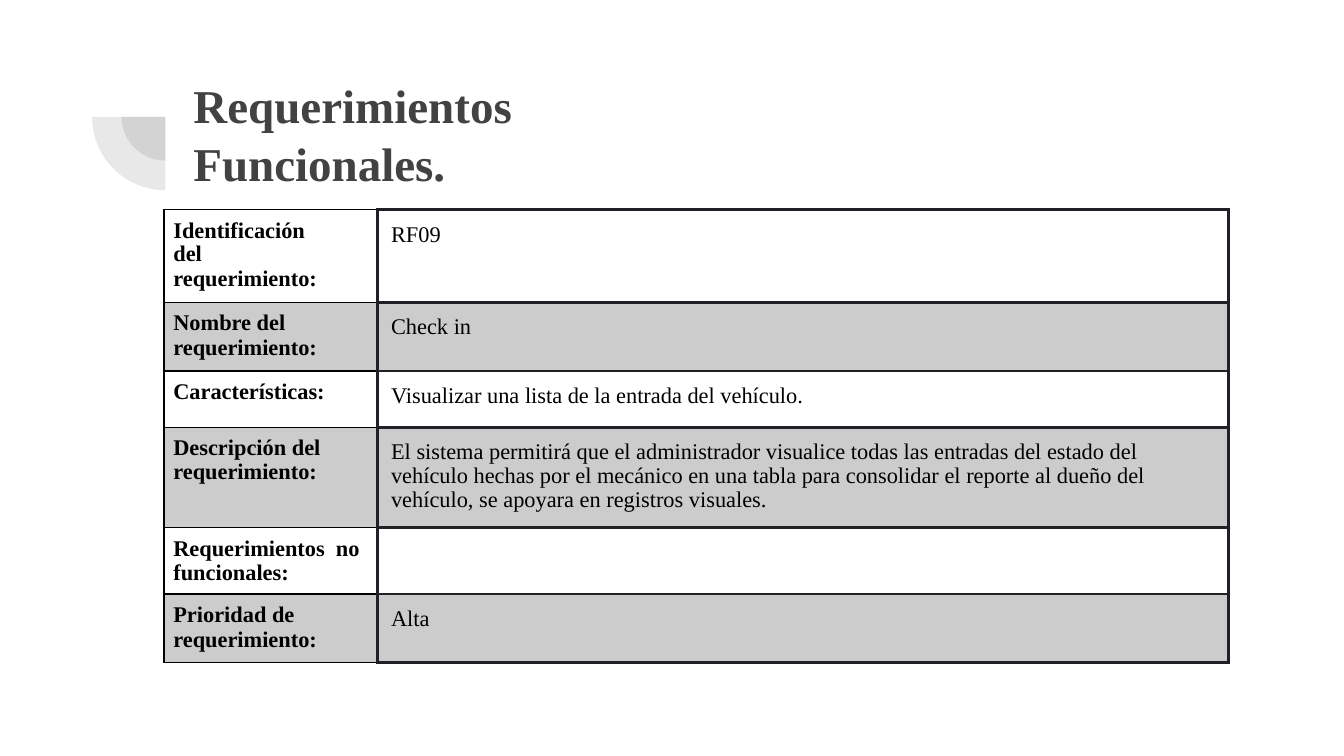
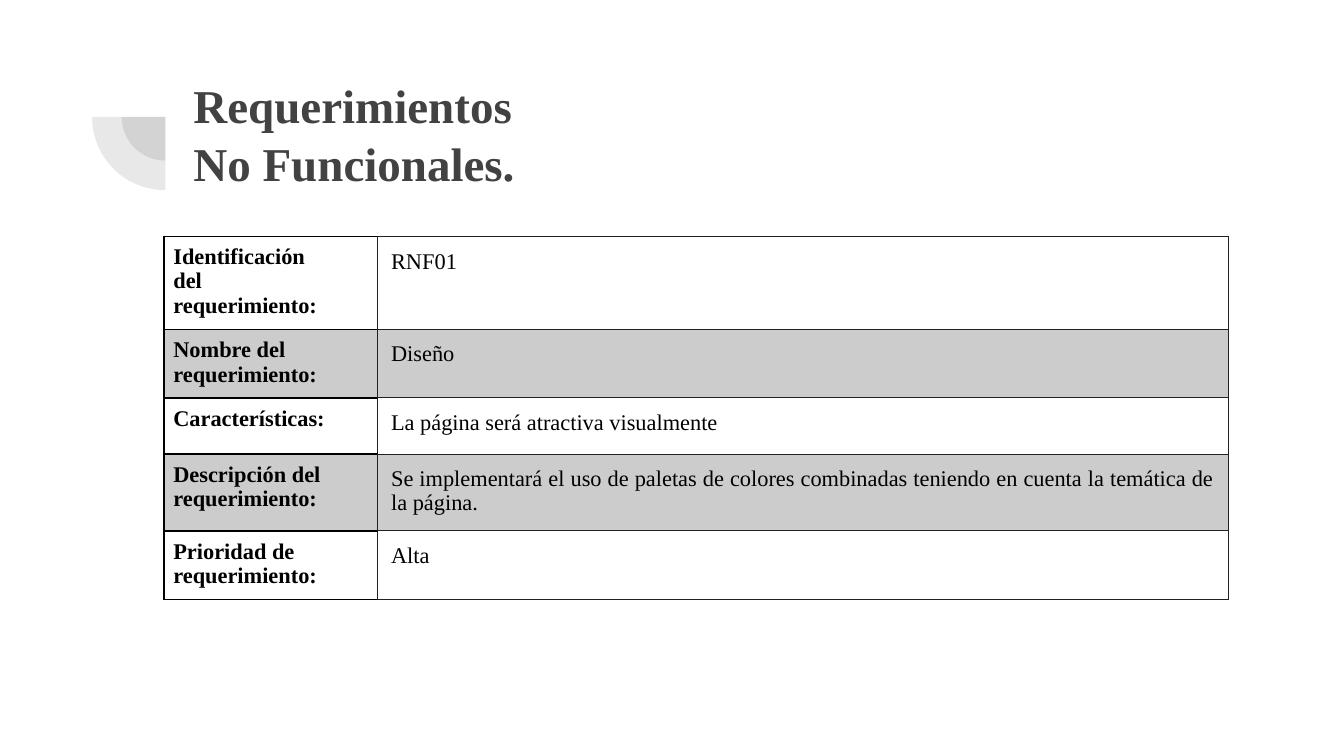
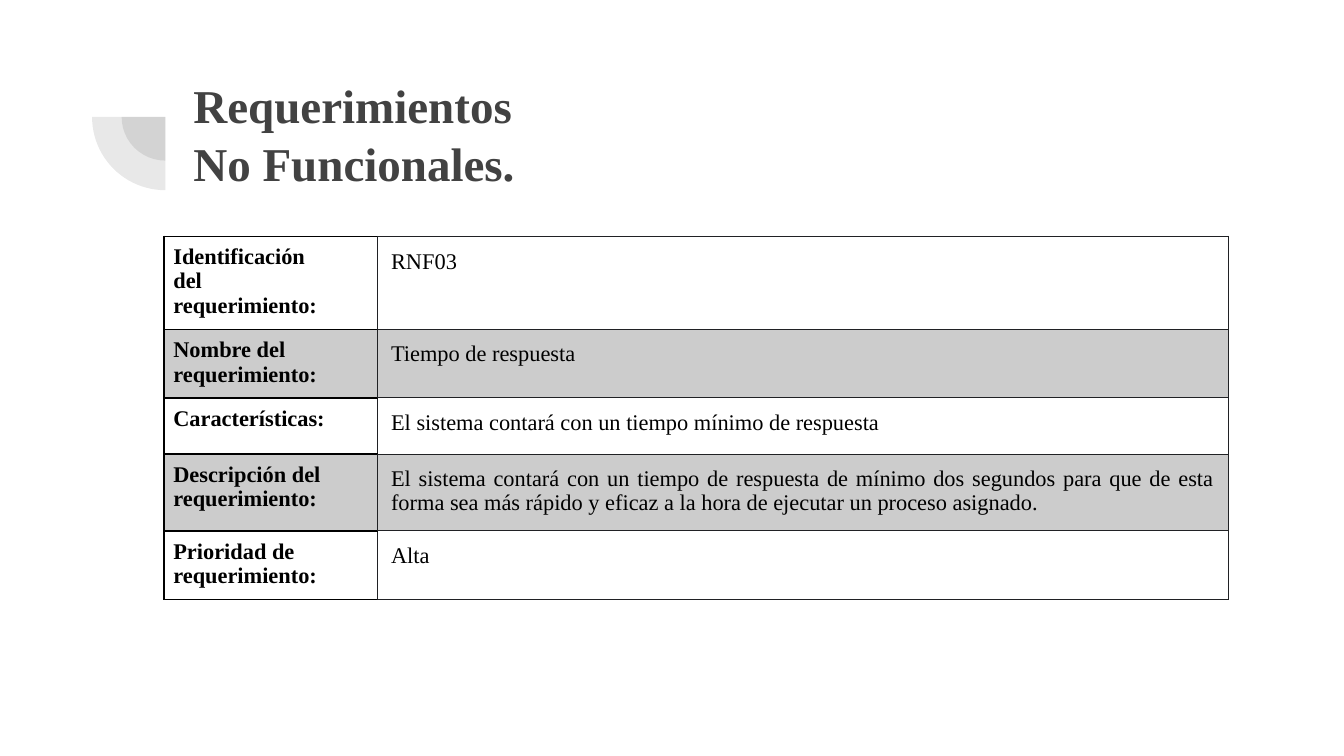
from dataclasses import dataclass

from lxml.etree import SubElement
from pptx import Presentation
from pptx.dml.color import RGBColor
from pptx.enum.shapes import MSO_SHAPE as Preset
from pptx.enum.text import MSO_ANCHOR as Anchor, PP_ALIGN as Align
from pptx.oxml.ns import qn
from pptx.util import Inches, Pt


@dataclass(frozen=True)
class Theme:
    font: str = "Times New Roman"
    title_size: float = 25.2
    body_size: float = 12
    title: str = "424242"
    body: str = "000000"
    label_border: str = "000000"
    value_border: str = "202124"
    band: str = "CCCCCC"
    line_spacing: float = 0.96
    arc_alpha: int = 12000


THEME = Theme()

FIELDS = {
    "id": (["Identificación\vdel", "requerimiento:"], 0.68),
    "name": (["Nombre del", "requerimiento:"], 0.51),
    "features": (["Características:"], 0.42),
    "description": (["Descripción del requerimiento:"], 0.57),
    "non_functional": (["Requerimientos  no funcionales:"], 0.49),
    "priority": (["Prioridad de", "requerimiento:"], 0.51),
}

REQUIREMENTS = [
    {
        "title": ["Requerimientos", "Funcionales."],
        "top": 1.56,
        "divider": 1.5,
        "value_line": 1.5,
        "justified": (),
        "values": {
            "id": "RF09",
            "name": "Check in",
            "features": "Visualizar una lista de la entrada del vehículo.",
            "description": "El sistema permitirá que el administrador visualice todas las "
                           "entradas del estado del vehículo hechas por el mecánico en una "
                           "tabla para consolidar el reporte al dueño del vehículo, se "
                           "apoyara en registros visuales.",
            "non_functional": "",
            "priority": "Alta",
        },
    },
    {
        "title": ["Requerimientos", "No Funcionales."],
        "top": 1.76,
        "divider": 1,
        "value_line": 0.75,
        "justified": ("description",),
        "values": {
            "id": "RNF01",
            "name": "Diseño",
            "features": "La página será atractiva visualmente",
            "description": "Se implementará el uso de paletas de colores combinadas teniendo "
                           "en cuenta la temática de la página.",
            "priority": "Alta",
        },
    },
    {
        "title": ["Requerimientos", "No Funcionales."],
        "top": 1.76,
        "divider": 1,
        "value_line": 0.75,
        "justified": ("features", "description"),
        "values": {
            "id": "RNF03",
            "name": "Tiempo de respuesta",
            "features": "El sistema contará con un tiempo mínimo de respuesta",
            "description": "El sistema contará con un tiempo de respuesta de mínimo dos "
                           "segundos para que de esta forma sea más rápido y eficaz a la "
                           "hora de ejecutar un proceso asignado.",
            "priority": "Alta",
        },
    },
]

ARC_CENTER = (1.23, 0.87)
ARC_SIZES = (0.65, 1.09)
TABLE_LEFT = 1.22
COLUMNS = (1.59, 6.33)
LABEL_INSET, VALUE_INSET = 0.07, 0.1
BOTTOM_TRIM = 0.03


def write(frame, lines, size, color, bold, spacing=1.0, align=Align.LEFT, gap=0):
    for index, line in enumerate(lines):
        paragraph = frame.add_paragraph() if index else frame.paragraphs[0]
        paragraph.alignment = align
        paragraph.line_spacing = spacing
        if index and gap:
            paragraph.space_before = Pt(gap)
        for part_index, part in enumerate(line.split("\v")):
            if part_index:
                paragraph.add_line_break()
            run = paragraph.add_run()
            run.text = part
            run.font.name = THEME.font
            run.font.size = Pt(size)
            run.font.bold = bold
            run.font.color.rgb = RGBColor.from_string(color)


def set_insets(box, inset, bottom_trim=0):
    box.margin_left = box.margin_right = box.margin_top = Inches(inset)
    box.margin_bottom = Inches(inset - bottom_trim)


def add_arcs(slide):
    center_x, center_y = ARC_CENTER
    for size in ARC_SIZES:
        arc = slide.shapes.add_shape(
            Preset.PIE, Inches(center_x - size / 2), Inches(center_y - size / 2),
            Inches(size), Inches(size))
        arc.adjustments[0] = 107.93
        arc.adjustments[1] = 162
        arc.rotation = 270
        arc.shadow.inherit = False
        arc.line.fill.background()
        arc.fill.solid()
        arc.fill.fore_color.rgb = RGBColor.from_string(THEME.title)
        tint = arc.fill._xPr.find(".//" + qn("a:srgbClr"))
        SubElement(tint, qn("a:alpha"), val=str(THEME.arc_alpha))


def add_title(slide, lines):
    frame = slide.shapes.add_textbox(
        Inches(1.34), Inches(0.45), Inches(7.69), Inches(1.09)).text_frame
    frame.word_wrap = True
    frame.vertical_anchor = Anchor.MIDDLE
    set_insets(frame, 0.1)
    write(frame, lines, THEME.title_size, THEME.title, True, gap=0.5)


def set_borders(cell, borders):
    properties = cell._tc.get_or_add_tcPr()
    for side in "LRTB":
        color, width = borders[side]
        line = SubElement(properties, qn(f"a:ln{side}"), w=str(Pt(width)))
        SubElement(SubElement(line, qn("a:solidFill")), qn("a:srgbClr"), val=color)


def style_cell(cell, inset, borders, banded):
    set_insets(cell, inset, BOTTOM_TRIM)
    set_borders(cell, borders)
    if banded:
        cell.fill.solid()
        cell.fill.fore_color.rgb = RGBColor.from_string(THEME.band)
    else:
        cell.fill.background()


def add_requirement_table(slide, requirement):
    values = requirement["values"]
    heights = [FIELDS[field][1] for field in values]
    table = slide.shapes.add_table(
        len(values), len(COLUMNS), Inches(TABLE_LEFT), Inches(requirement["top"]),
        Inches(sum(COLUMNS)), Inches(sum(heights))).table
    table.first_row = table.horz_banding = False
    for column, width in zip(table.columns, COLUMNS):
        column.width = Inches(width)

    divider = (THEME.value_border, requirement["divider"])
    label_borders = dict.fromkeys("LTB", (THEME.label_border, 1)) | {"R": divider}
    value_borders = dict.fromkeys(
        "RTB", (THEME.value_border, requirement["value_line"])) | {"L": divider}

    for index, (field, value) in enumerate(values.items()):
        table.rows[index].height = Inches(heights[index])
        label_cell, value_cell = table.rows[index].cells
        banded = index % 2 == 1
        style_cell(label_cell, LABEL_INSET, label_borders, banded)
        style_cell(value_cell, VALUE_INSET, value_borders, banded)
        write(label_cell.text_frame, FIELDS[field][0], THEME.body_size, THEME.body,
              True, THEME.line_spacing, gap=0.3)
        if value:
            align = Align.JUSTIFY if field in requirement["justified"] else Align.LEFT
            write(value_cell.text_frame, [value], THEME.body_size, THEME.body,
                  False, THEME.line_spacing, align)


def main():
    deck = Presentation()
    deck.slide_width = Inches(10)
    deck.slide_height = deck.slide_width * 9 // 16
    for requirement in REQUIREMENTS:
        slide = deck.slides.add_slide(deck.slide_layouts[6])
        add_arcs(slide)
        add_title(slide, requirement["title"])
        add_requirement_table(slide, requirement)
    deck.save("out.pptx")


if __name__ == "__main__":
    main()
